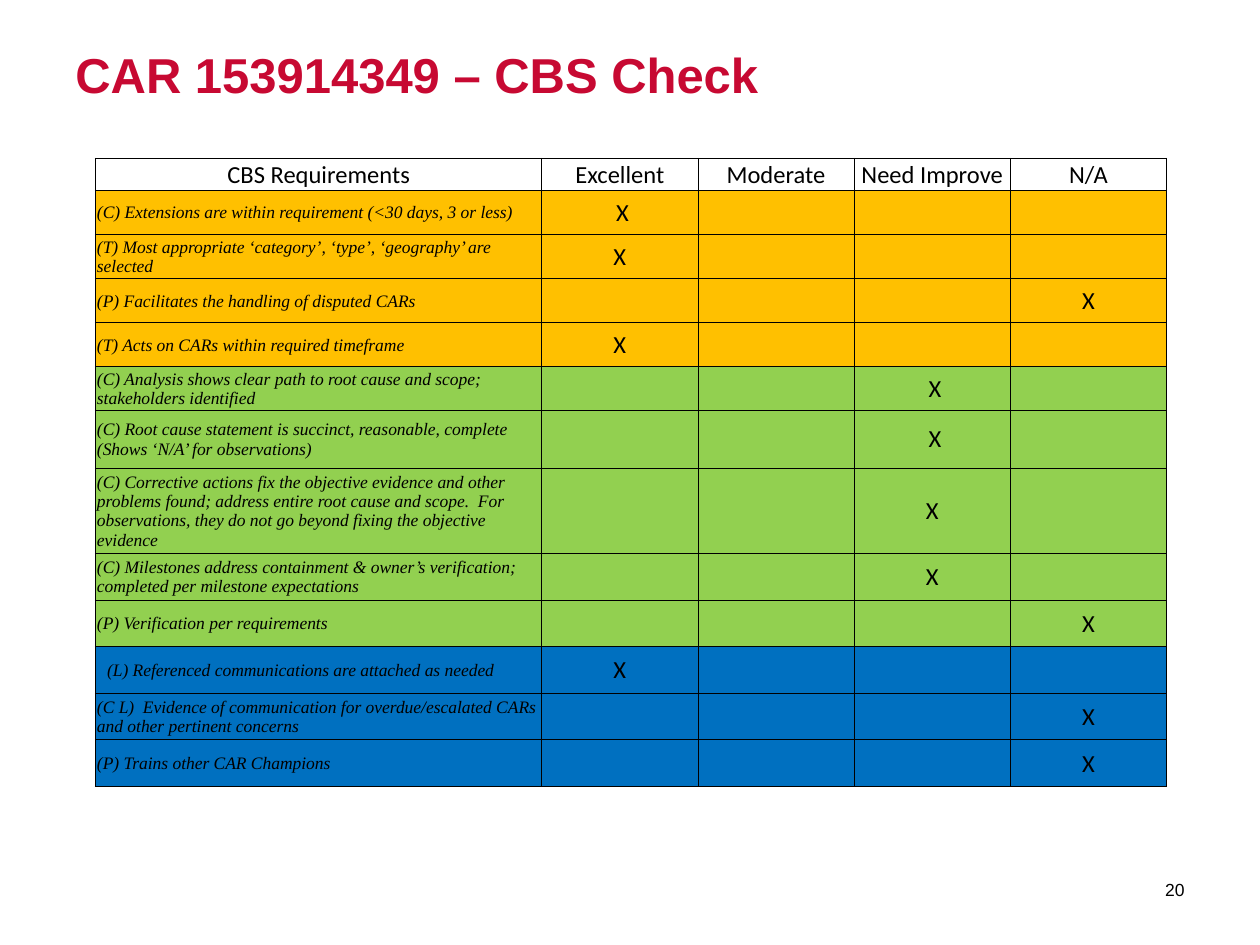
from dataclasses import dataclass

from lxml.etree import SubElement
from pptx import Presentation
from pptx.dml.color import RGBColor
from pptx.enum.text import MSO_ANCHOR as Anchor, PP_ALIGN as Align
from pptx.oxml.ns import qn
from pptx.util import Inches, Pt


@dataclass(frozen=True)
class Theme:
    """Colours, fonts and type sizes of the slide."""
    red: str = "C70932"
    black: str = "000000"
    amber: str = "FFC000"
    green: str = "92D050"
    blue: str = "0070C0"
    heading_font: str = "Arial"
    table_font: str = "Calibri"
    requirement_font: str = "Times New Roman"
    title_size: int = 28
    mark_size: int = 14
    small_size: int = 10
    outer_line: float = 1
    inner_line: float = 0.5


THEME = Theme()
HEADERS = ["CBS Requirements", "Excellent", "Moderate", "Need Improve", "N/A"]
EXCELLENT, NEED_IMPROVE, NOT_APPLICABLE = 1, 3, 4
COLUMN_WIDTHS = [3.54] + [1.24] * 4
HEADER_HEIGHT = 0.25
REQUIREMENTS = [
    ("(C) Extensions are within requirement (<30 days, 3 or less)", EXCELLENT, " X", THEME.amber, 0.35),
    ("(T) Most appropriate ‘category’, ‘type’, ‘geography’ are selected", EXCELLENT, "X", THEME.amber, 0.35),
    ("(P) Facilitates the handling of disputed CARs", NOT_APPLICABLE, "X", THEME.amber, 0.35),
    ("(T) Acts on CARs within required timeframe", EXCELLENT, "X", THEME.amber, 0.35),
    ("(C) Analysis shows clear path to root cause and scope; stakeholders identified",
     NEED_IMPROVE, " X", THEME.green, 0.33),
    ("(C) Root cause statement is succinct, reasonable, complete (Shows ‘N/A’ for observations)",
     NEED_IMPROVE, " X", THEME.green, 0.46),
    ("(C) Corrective actions fix the objective evidence and other problems found; address entire root cause "
     "and scope.  For observations, they do not go beyond fixing the objective evidence",
     NEED_IMPROVE, "X", THEME.green, 0.63),
    ("(C) Milestones address containment & owner’s verification; completed per milestone expectations",
     NEED_IMPROVE, "X", THEME.green, 0.37),
    ("(P) Verification per requirements", NOT_APPLICABLE, "X", THEME.green, 0.37),
    ("(L) Referenced communications are attached as needed", EXCELLENT, "X", THEME.blue, 0.37),
    ("(C L)  Evidence of communication for overdue/escalated CARs and other pertinent concerns",
     NOT_APPLICABLE, "X", THEME.blue, 0.37),
    ("(P) Trains other CAR Champions", NOT_APPLICABLE, "X", THEME.blue, 0.37),
]
INDENTED_ROW = 10


def write_text(text_frame, text, font, size, color=THEME.black, align=Align.LEFT, bold=False, italic=False):
    """Fill a text frame with one formatted paragraph."""
    text_frame.text = text
    paragraph = text_frame.paragraphs[0]
    paragraph.alignment = align
    for run in paragraph.runs:
        run.font.name = font
        run.font.size = Pt(size)
        run.font.bold = bold
        run.font.italic = italic
        run.font.color.rgb = RGBColor.from_string(color)


def add_label(slide, left, top, width, height, text, size, anchor=Anchor.TOP, **style):
    """Add a wrapping text box in the heading font."""
    shape = slide.shapes.add_textbox(Inches(left), Inches(top), Inches(width), Inches(height))
    shape.text_frame.word_wrap = True
    shape.text_frame.vertical_anchor = anchor
    write_text(shape.text_frame, text, THEME.heading_font, size, **style)


def set_borders(cell, outer_edges):
    """Draw the four borders of a cell, thicker on the table's outer edges."""
    properties = cell._tc.get_or_add_tcPr()
    for edge, is_outer in outer_edges.items():
        width = THEME.outer_line if is_outer else THEME.inner_line
        line = SubElement(properties, qn(f"a:ln{edge}"), w=str(Pt(width)))
        SubElement(SubElement(line, qn("a:solidFill")), qn("a:srgbClr"), val=THEME.black)


def format_cell(cell, fill, anchor, outer_edges):
    """Set the margins, anchor, borders and fill of a cell."""
    cell.margin_left = cell.margin_right = cell.margin_top = Inches(0.01)
    cell.margin_bottom = 0
    cell.vertical_anchor = anchor
    set_borders(cell, outer_edges)
    if fill:
        cell.fill.solid()
        cell.fill.fore_color.rgb = RGBColor.from_string(fill)
    else:
        cell.fill.background()


def add_requirements_table(slide):
    """Add the table that rates each CBS requirement."""
    heights = [HEADER_HEIGHT] + [requirement[-1] for requirement in REQUIREMENTS]
    fills = [None] + [requirement[3] for requirement in REQUIREMENTS]
    last_row, last_column = len(heights) - 1, len(HEADERS) - 1
    table = slide.shapes.add_table(
        len(heights), len(HEADERS), Inches(0.76), Inches(1.26),
        Inches(sum(COLUMN_WIDTHS)), Inches(sum(heights))).table
    table.first_row = table.horz_banding = False
    for column, width in zip(table.columns, COLUMN_WIDTHS):
        column.width = Inches(width)
    for row_index, (row, height, fill) in enumerate(zip(table.rows, heights, fills)):
        row.height = Inches(height)
        anchor = Anchor.MIDDLE if row_index else Anchor.BOTTOM
        for column_index, cell in enumerate(row.cells):
            format_cell(cell, fill, anchor, {
                "L": column_index == 0, "R": column_index == last_column,
                "T": row_index == 0, "B": row_index == last_row})
    for column_index, header in enumerate(HEADERS):
        write_text(table.cell(0, column_index).text_frame, header,
                   THEME.table_font, THEME.mark_size, align=Align.CENTER)
    for row_index, (requirement, rating, mark, _, _) in enumerate(REQUIREMENTS, 1):
        write_text(table.cell(row_index, 0).text_frame, requirement,
                   THEME.requirement_font, THEME.small_size, italic=True)
        write_text(table.cell(row_index, rating).text_frame, mark,
                   THEME.table_font, THEME.mark_size, align=Align.CENTER)
    table.cell(INDENTED_ROW, 0).margin_left = Inches(0.09)


def main():
    """Build the slide and save the presentation."""
    presentation = Presentation()
    presentation.slide_width, presentation.slide_height = Inches(10), Inches(7.5)
    slide = presentation.slides.add_slide(presentation.slide_layouts[6])
    add_label(slide, 0.5, 0.3, 9, 1.25, "CAR 153914349 – CBS Check", THEME.title_size,
              color=THEME.red, bold=True)
    add_label(slide, 8.8, 6.86, 0.7, 0.4, "20", THEME.small_size, Anchor.MIDDLE, align=Align.RIGHT)
    add_requirements_table(slide)
    presentation.save("out.pptx")


if __name__ == "__main__":
    main()
